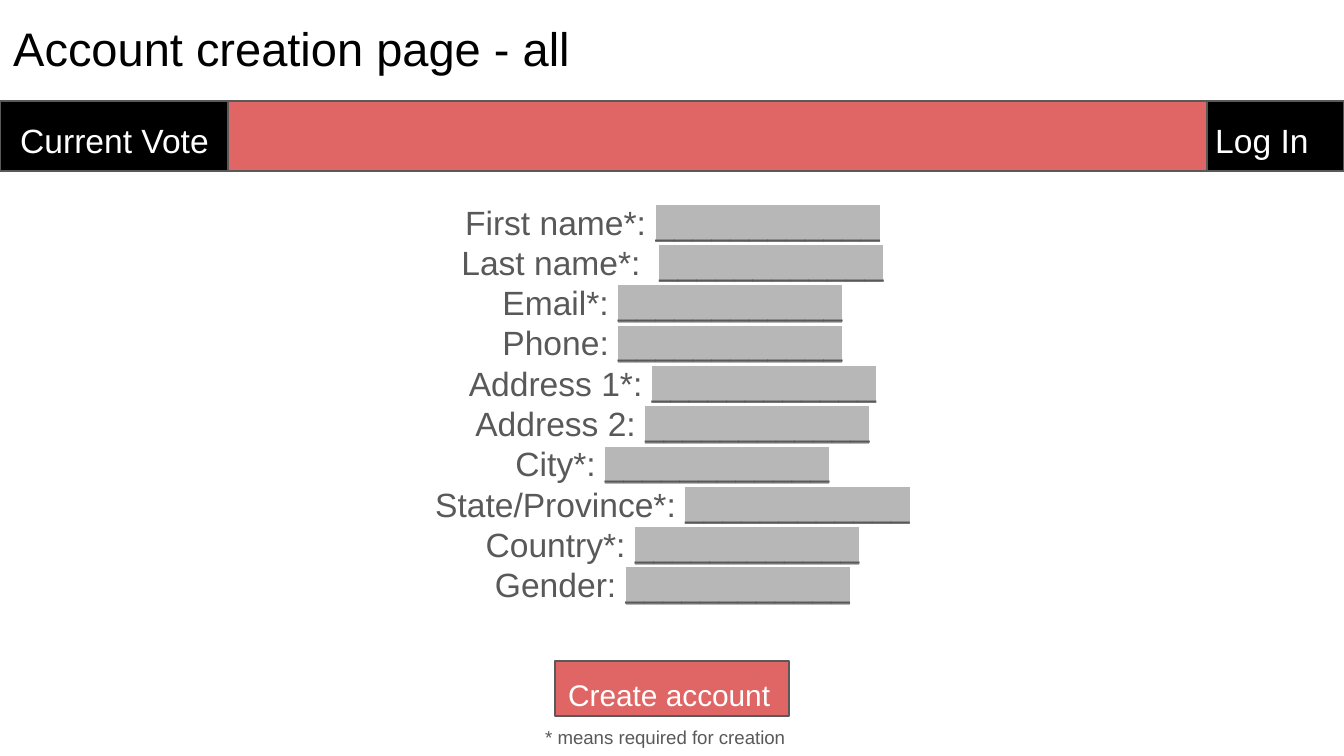
from lxml import etree
from pptx import Presentation
from pptx.dml.color import RGBColor
from pptx.enum.shapes import MSO_SHAPE as Shape
from pptx.enum.text import PP_ALIGN as Align
from pptx.oxml.ns import qn
from pptx.util import Emu, Pt

EMU_PER_PX = 914400 / 134.4
COLORS = {
    "red": "E06666",
    "black": "000000",
    "white": "FFFFFF",
    "gray": "595959",
    "field": "B7B7B7",
}
FIELD_LABELS = [
    "First name*: ", "Last name*:  ", "Email*: ", "Phone: ", "Address 1*: ",
    "Address 2: ", "City*: ", "State/Province*: ", "Country*: ", "Gender: ",
]
BLANK_FIELD = "_" * 12


def add_bar(shapes, frame, color):
    bar = shapes.add_shape(Shape.RECTANGLE, *[Emu(round(v * EMU_PER_PX)) for v in frame])
    bar.shadow.inherit = False
    bar.fill.solid()
    bar.fill.fore_color.rgb = RGBColor.from_string(COLORS[color])
    bar.line.color.rgb = RGBColor.from_string(COLORS["gray"])
    bar.line.width = Pt(0.75)


def add_text(shapes, frame, text, size, color, spacing=1.1):
    box = shapes.add_textbox(*[Emu(round(v * EMU_PER_PX)) for v in frame])
    text_frame = box.text_frame
    text_frame.word_wrap = True
    text_frame.margin_left = text_frame.margin_right = Pt(7.2)
    text_frame.margin_top = text_frame.margin_bottom = Pt(7.2)
    text_frame.text = text
    for para in text_frame.paragraphs:
        para.line_spacing = spacing
        for span in para.runs:
            span.font.name = "Arial"
            span.font.size = Pt(size)
            span.font.color.rgb = RGBColor.from_string(COLORS[color])
    return text_frame


deck = Presentation()
deck.slide_width = Emu(round(1344 * EMU_PER_PX))
deck.slide_height = Emu(round(756 * EMU_PER_PX))
page = deck.slides.add_slide(deck.slide_layouts[6])

add_text(page.shapes, (0, 0, 1253, 85), "Account creation page - all", 25.2, "black")

# Navigation bar
navigation = page.shapes.add_group_shape().shapes
add_bar(navigation, (0, 101, 1344, 70), "red")
add_bar(navigation, (0, 101, 228, 70), "black")
add_text(navigation, (7, 102, 216, 54), "Current Vote", 18, "white")
add_bar(navigation, (1207, 101, 137, 70), "black")
add_text(navigation, (1202, 102, 148, 67), "Log In", 18, "white")

# Form: each label is followed by a highlighted blank
form = add_text(page.shapes, (46, 188, 1253, 431), "\n".join(FIELD_LABELS),
                18, "gray", Pt(21.6))
for para in form.paragraphs:
    para.alignment = Align.CENTER
    blank = para.add_run()
    blank.text = BLANK_FIELD
    blank.font.name = "Arial"
    blank.font.size = Pt(18)
    blank.font.color.rgb = RGBColor.from_string(COLORS["gray"])
    highlight = etree.Element(qn("a:highlight"))
    etree.SubElement(highlight, qn("a:srgbClr"), val=COLORS["field"])
    blank.font.fill._xPr.find(qn("a:solidFill")).addnext(highlight)

add_text(page.shapes, (532, 711, 280, 45), "* means required for creation", 10, "gray")
add_bar(page.shapes, (555, 661, 234, 55), "red")
add_text(page.shapes, (555, 660, 234, 58), "Create account", 16, "white")

deck.save("out.pptx")
